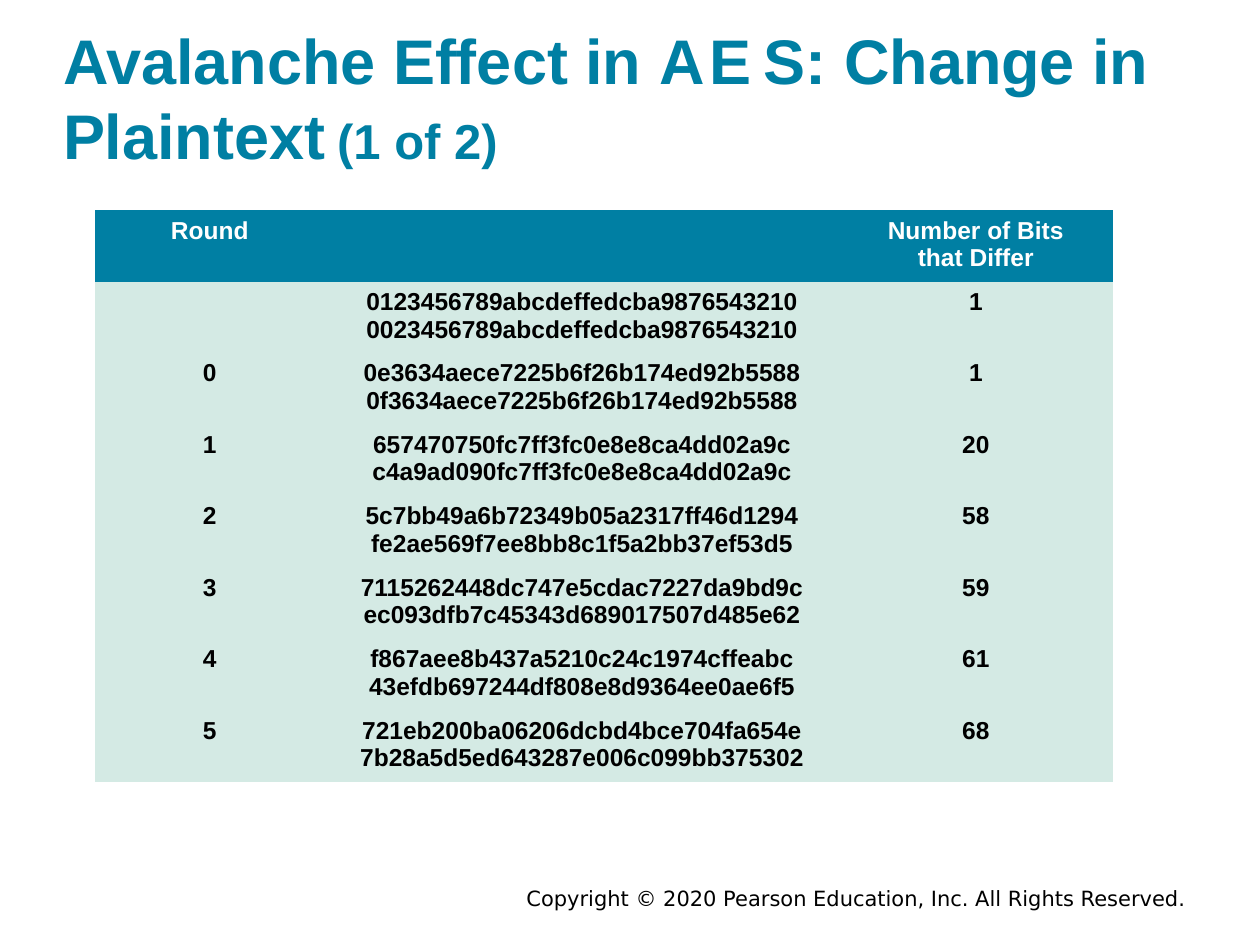
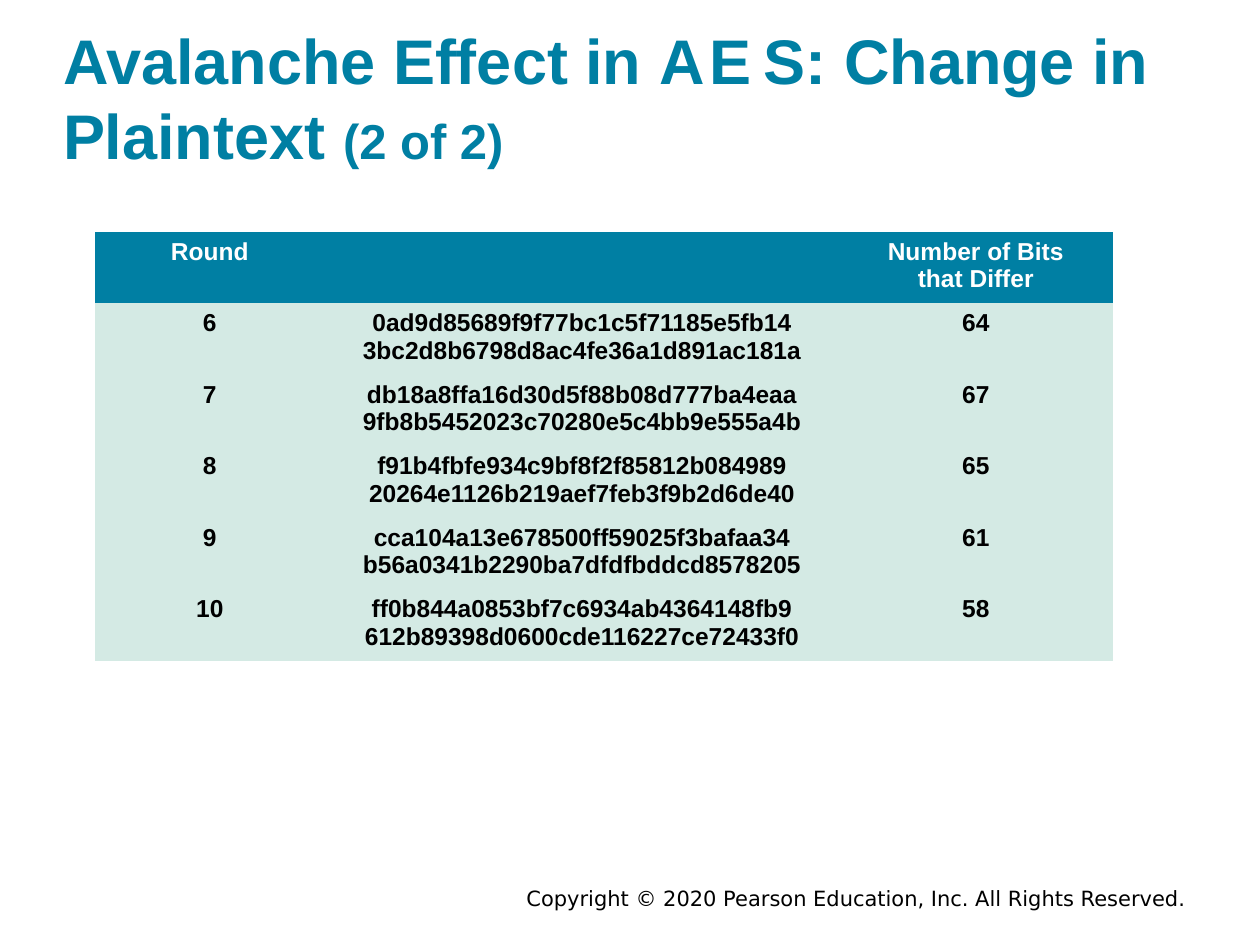
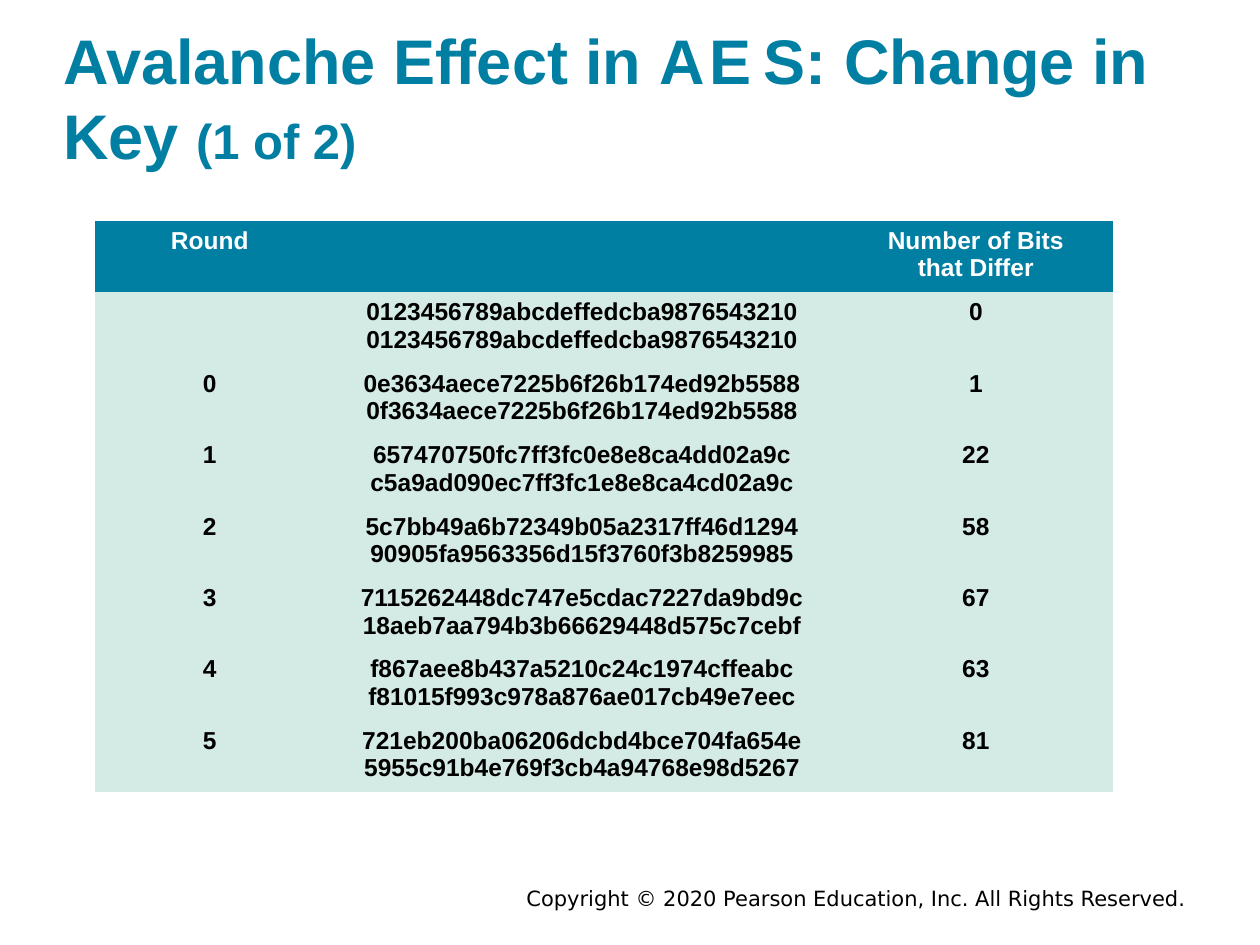
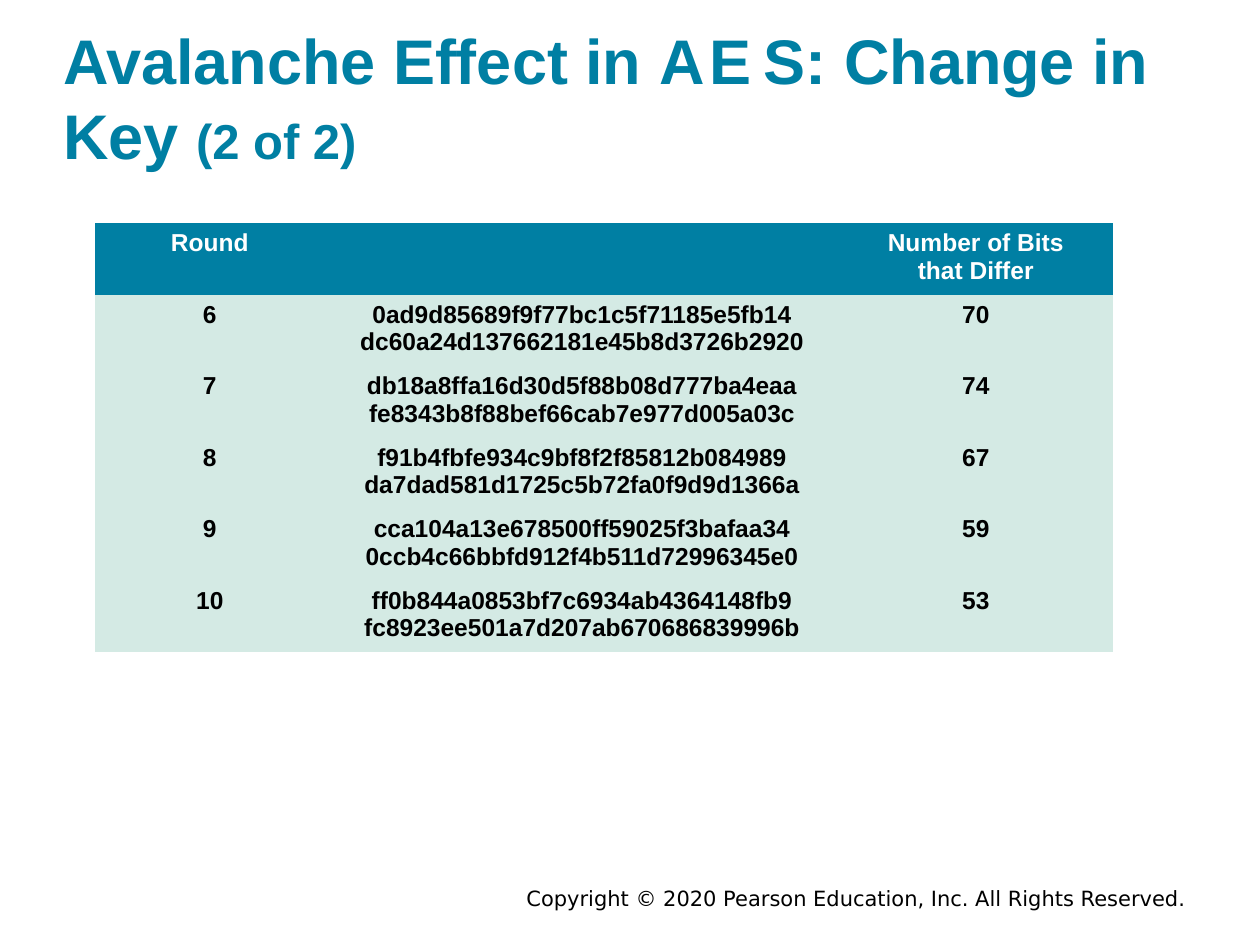
from dataclasses import dataclass

from pptx import Presentation
from pptx.dml.color import RGBColor
from pptx.enum.text import MSO_ANCHOR, MSO_AUTO_SIZE, PP_ALIGN
from pptx.oxml.ns import qn
from pptx.util import Pt

LEFT, CENTER = PP_ALIGN.LEFT, PP_ALIGN.CENTER
BOTTOM = MSO_ANCHOR.BOTTOM
NO_AUTOFIT = MSO_AUTO_SIZE.NONE

EMU_PER_PX = 9144  # 100 px to the inch
TITLE_ONLY = 5
NO_GRID_STYLE = "{2D5ABB26-0587-4C30-8999-92F81FD0307C}"


@dataclass(frozen=True)
class Theme:
    teal: RGBColor = RGBColor(0x00, 0x7F, 0xA3)
    mint: RGBColor = RGBColor(0xD4, 0xEA, 0xE4)
    white: RGBColor = RGBColor(0xFF, 0xFF, 0xFF)
    black: RGBColor = RGBColor(0x00, 0x00, 0x00)
    font: str = "Arial"
    copyright_font: str = "DejaVu Sans"
    title_size: int = 36
    part_size: int = 28
    small_gap_size: int = 24
    table_size: int = 14
    copyright_size: int = 12


THEME = Theme()

# Table geometry in px
TABLE_LEFT = 75
COLUMN_WIDTHS = (183, 408, 217)
ROW_HEIGHT = 53

COPYRIGHT = "Copyright © 2020 Pearson Education, Inc. All Rights Reserved."
HEADER = ("Round", "", "Number of Bits\nthat Differ")

# Round, base state, then state and differing bits after each kind of change
ROUNDS = (
    ("", "0123456789abcdeffedcba9876543210",
     ("0023456789abcdeffedcba9876543210", 1),
     ("0123456789abcdeffedcba9876543210", 0)),
    ("0", "0e3634aece7225b6f26b174ed92b5588",
     ("0f3634aece7225b6f26b174ed92b5588", 1),
     ("0f3634aece7225b6f26b174ed92b5588", 1)),
    ("1", "657470750fc7ff3fc0e8e8ca4dd02a9c",
     ("c4a9ad090fc7ff3fc0e8e8ca4dd02a9c", 20),
     ("c5a9ad090ec7ff3fc1e8e8ca4cd02a9c", 22)),
    ("2", "5c7bb49a6b72349b05a2317ff46d1294",
     ("fe2ae569f7ee8bb8c1f5a2bb37ef53d5", 58),
     ("90905fa9563356d15f3760f3b8259985", 58)),
    ("3", "7115262448dc747e5cdac7227da9bd9c",
     ("ec093dfb7c45343d689017507d485e62", 59),
     ("18aeb7aa794b3b66629448d575c7cebf", 67)),
    ("4", "f867aee8b437a5210c24c1974cffeabc",
     ("43efdb697244df808e8d9364ee0ae6f5", 61),
     ("f81015f993c978a876ae017cb49e7eec", 63)),
    ("5", "721eb200ba06206dcbd4bce704fa654e",
     ("7b28a5d5ed643287e006c099bb375302", 68),
     ("5955c91b4e769f3cb4a94768e98d5267", 81)),
    ("6", "0ad9d85689f9f77bc1c5f71185e5fb14",
     ("3bc2d8b6798d8ac4fe36a1d891ac181a", 64),
     ("dc60a24d137662181e45b8d3726b2920", 70)),
    ("7", "db18a8ffa16d30d5f88b08d777ba4eaa",
     ("9fb8b5452023c70280e5c4bb9e555a4b", 67),
     ("fe8343b8f88bef66cab7e977d005a03c", 74)),
    ("8", "f91b4fbfe934c9bf8f2f85812b084989",
     ("20264e1126b219aef7feb3f9b2d6de40", 65),
     ("da7dad581d1725c5b72fa0f9d9d1366a", 67)),
    ("9", "cca104a13e678500ff59025f3bafaa34",
     ("b56a0341b2290ba7dfdfbddcd8578205", 61),
     ("0ccb4c66bbfd912f4b511d72996345e0", 59)),
    ("10", "ff0b844a0853bf7c6934ab4364148fb9",
     ("612b89398d0600cde116227ce72433f0", 58),
     ("fc8923ee501a7d207ab670686839996b", 53)),
)
FIRST_PART, SECOND_PART = ROUNDS[:7], ROUNDS[7:]
PLAINTEXT, KEY = 2, 3


def px(length):
    return length * EMU_PER_PX


def style_font(font, size, color, name=THEME.font, bold=True):
    font.name = name
    font.size = Pt(size)
    font.bold = bold
    font.color.rgb = color


def add_copyright(slide):
    box = slide.shapes.add_textbox(px(408), px(698), px(561), px(30))
    box.text_frame.word_wrap = True
    box.text_frame.text = COPYRIGHT
    style_font(box.text_frame.paragraphs[0].runs[0].font, THEME.copyright_size,
               THEME.black, THEME.copyright_font, bold=False)


def set_title(slide, subject, part, gap_size):
    title = slide.shapes.title
    title.left, title.top, title.width, title.height = (
        px(50), px(25), px(900), px(112))
    frame = title.text_frame
    frame.auto_size = NO_AUTOFIT
    frame.word_wrap = True
    frame.vertical_anchor = BOTTOM
    frame.margin_left = frame.margin_top = 0
    frame.margin_right = frame.margin_bottom = 0
    paragraph = frame.paragraphs[0]
    paragraph.alignment = LEFT
    # Text, size, letter spacing in hundredths of a point
    pieces = (
        ("Avalanche Effect in ", THEME.title_size, 0),
        ("A E ", THEME.title_size, -300),
        (f"S: Change in {subject}", THEME.title_size, 0),
        (" ", gap_size, 0),
        (f"({part} of 2)", THEME.part_size, 0),
    )
    for text, size, spacing in pieces:
        run = paragraph.add_run()
        run.text = text
        style_font(run.font, size, THEME.teal)
        run._r.get_or_add_rPr().set("spc", str(spacing))


def fill_cell(cell, text, fill, color):
    cell.fill.solid()
    cell.fill.fore_color.rgb = fill
    if not text:
        return
    cell.text_frame.text = text
    for paragraph in cell.text_frame.paragraphs:
        paragraph.alignment = CENTER
        style_font(paragraph.runs[0].font, THEME.table_size, color)


def add_rounds_table(slide, top, rounds, change):
    rows = [HEADER]
    for entry in rounds:
        state, bits = entry[change]
        rows.append((entry[0], f"{entry[1]}\n{state}", str(bits)))

    frame = slide.shapes.add_table(
        len(rows), len(HEADER), px(TABLE_LEFT), px(top),
        px(sum(COLUMN_WIDTHS)), px(ROW_HEIGHT * len(rows)))
    frame.element.find(".//" + qn("a:tableStyleId")).text = NO_GRID_STYLE
    table = frame.table
    table.horz_banding = False
    for column, width in zip(table.columns, COLUMN_WIDTHS):
        column.width = px(width)
    for row_index, texts in enumerate(rows):
        is_header = row_index == 0
        fill = THEME.teal if is_header else THEME.mint
        color = THEME.white if is_header else THEME.black
        for column_index, text in enumerate(texts):
            fill_cell(table.cell(row_index, column_index), text, fill, color)


def main():
    presentation = Presentation()
    presentation.slide_width = px(1000)
    presentation.slide_height = px(750)
    layout = presentation.slide_layouts[TITLE_ONLY]

    # Subject, part, gap before the part, table top, rounds, kind of change
    slides = (
        ("Plaintext", 1, THEME.small_gap_size, 167, FIRST_PART, PLAINTEXT),
        ("Plaintext", 2, THEME.title_size, 184, SECOND_PART, PLAINTEXT),
        ("Key", 1, THEME.title_size, 175, FIRST_PART, KEY),
        ("Key", 2, THEME.title_size, 177, SECOND_PART, KEY),
    )
    for subject, part, gap_size, top, rounds, change in slides:
        slide = presentation.slides.add_slide(layout)
        add_copyright(slide)
        set_title(slide, subject, part, gap_size)
        add_rounds_table(slide, top, rounds, change)

    presentation.save("out.pptx")


if __name__ == "__main__":
    main()
